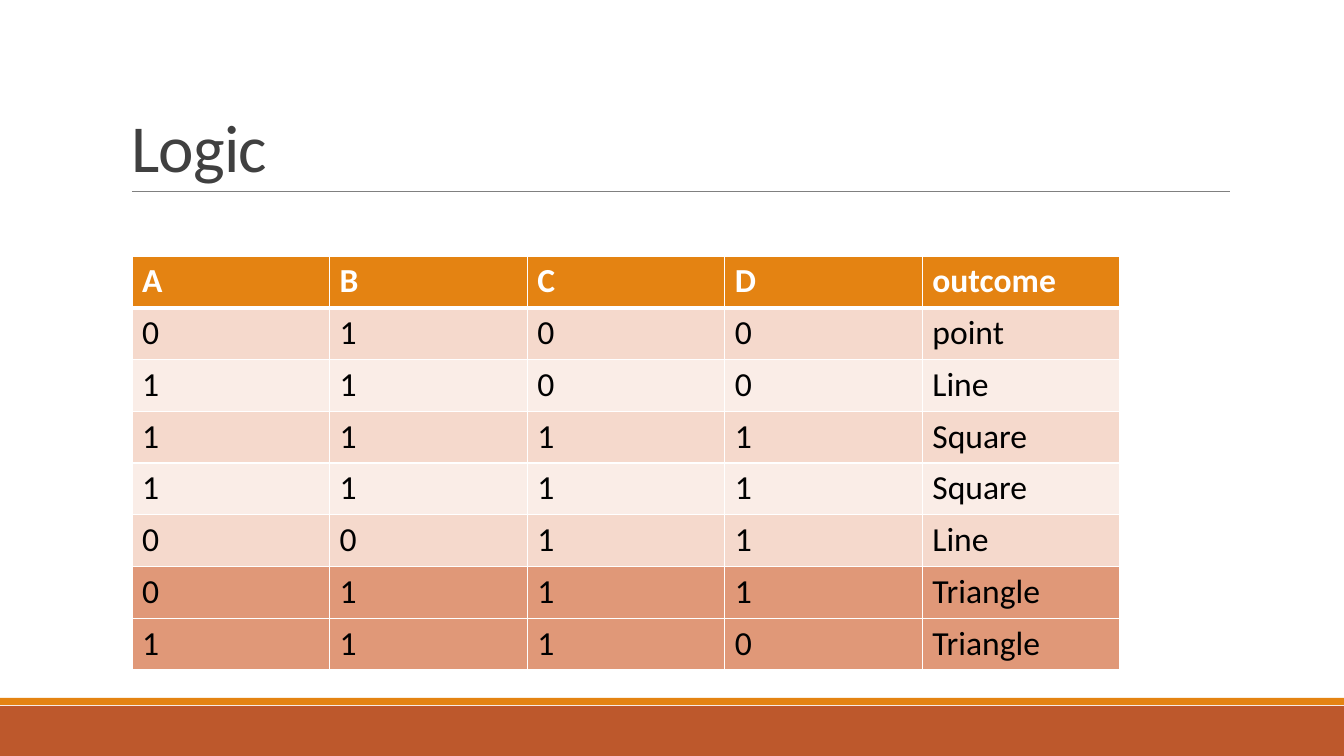
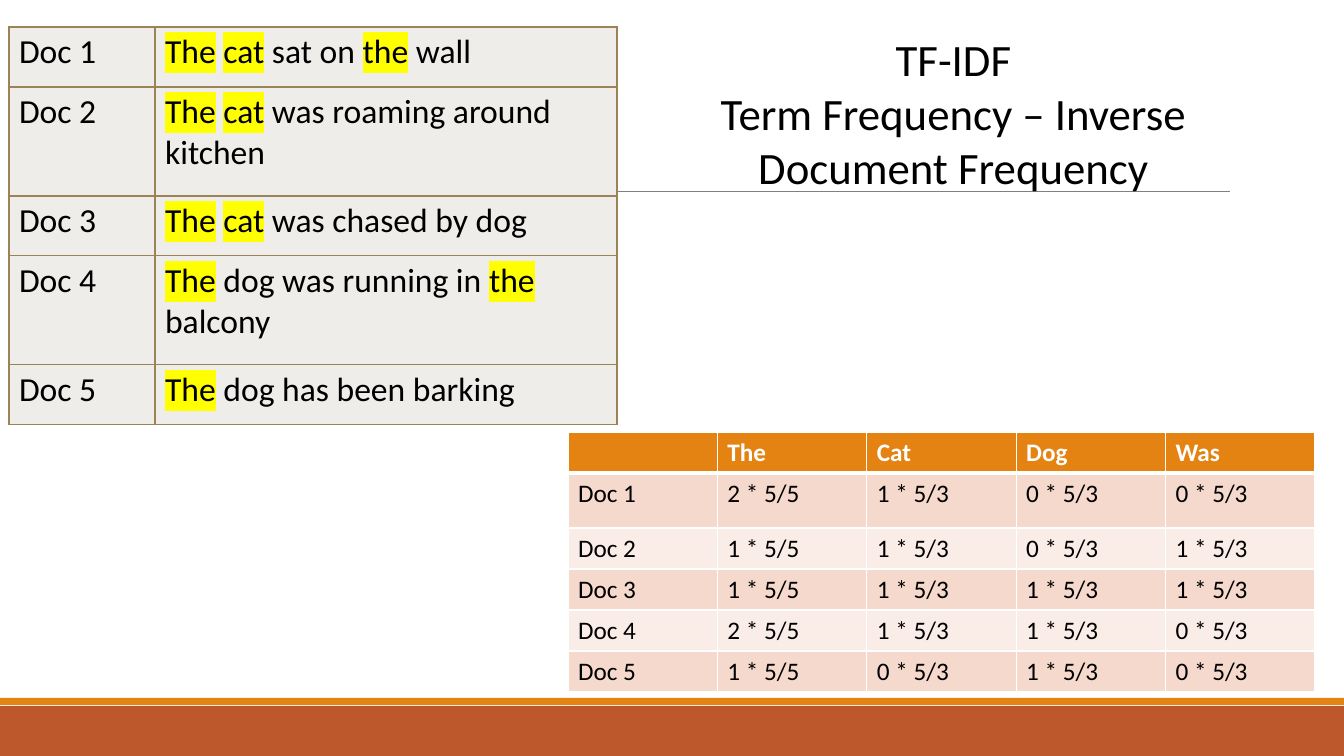
"""Build two slides: a logic truth table and a TF-IDF worked example."""
from dataclasses import dataclass
from itertools import cycle, islice

from lxml import etree
from pptx import Presentation
from pptx import util as u
from pptx.dml.color import RGBColor
from pptx.enum import shapes, text
from pptx.oxml import ns

SCALE = 914400 / 100.8
WIDE, HIGH = 1344, 756


@dataclass(frozen=True)
class Theme:
    font: str = "Calibri"
    rust: str = "BD582C"
    amber: str = "E48312"
    rule: str = "808080"
    title: str = "404040"
    ink: str = "000000"
    white: str = "FFFFFF"
    mark: str = "FFFF00"
    dark: str = "F5D9CC"
    pale: str = "FAEDE7"
    strong: str = "E09878"
    sand: str = "EFEDEA"
    tan: str = "9B8357"
    head: int = 48
    sub: int = 32
    body: int = 24
    small: int = 18


@dataclass(frozen=True)
class Box:
    left: int
    top: int
    width: int
    height: int

    def emu(self) -> list[int]:
        return [px(n) for n in (self.left, self.top, self.width, self.height)]


@dataclass(frozen=True)
class Band:
    box: Box
    fill: str


@dataclass(frozen=True)
class Grid:
    box: Box
    cols: list[float]
    rows: list[float]
    cells: list[list[str]]
    fills: list[str]
    edge: str
    size: int
    header: bool = True


T = Theme()
BANDS = (Band(Box(0, 706, WIDE, 50), T.rust), Band(Box(0, 698, WIDE, 7), T.amber))


def px(n: float) -> int:
    return round(n * SCALE)


def split(total: int, count: int) -> list[float]:
    return [total / count] * count


def stripe(count: int) -> list[str]:
    return list(islice(cycle((T.dark, T.pale)), count))


def child(node, tag: str, **attrs: str):
    return etree.SubElement(node, ns.qn(tag), attrs)


def write(frame, *lines: str, size: int, color: str = T.ink, bold: bool = False,
          align=text.PP_ALIGN.LEFT, space: float = 1.0, track: int = 0) -> None:
    """Fill a text frame, one paragraph a line, marking words in [brackets]."""
    for i, line in enumerate(lines):
        para = frame.paragraphs[0] if i == 0 else frame.add_paragraph()
        para.alignment, para.line_spacing = align, space
        for j, part in enumerate(line.replace("]", "[").split("[")):
            if not part:
                continue
            run = para.add_run()
            run.text = part
            font = run.font
            font.size, font.bold = u.Pt(size), bold
            font.color.rgb = RGBColor.from_string(color)
            props = run._r.get_or_add_rPr()
            if j % 2:
                child(child(props, "a:highlight"), "a:srgbClr", val=T.mark)
            if track:
                props.set("spc", str(track))
            font.name = T.font


def frame(slide) -> None:
    for band in BANDS:
        shape = slide.shapes.add_shape(shapes.MSO_SHAPE.RECTANGLE, *band.box.emu())
        shape.shadow.inherit = False
        shape.fill.solid()
        shape.fill.fore_color.rgb = RGBColor.from_string(band.fill)
        shape.line.fill.background()
    rule = slide.shapes.add_connector(
        shapes.MSO_CONNECTOR.STRAIGHT, px(132), px(191), px(1230), px(191))
    rule.line.width = u.Pt(0.5)
    rule.line.color.rgb = RGBColor.from_string(T.rule)
    child(rule._element.spPr, "a:effectLst")


def title(slide, box: Box, *lines: str, anchor, **fmt) -> None:
    shape = slide.shapes.title
    shape.left, shape.top, shape.width, shape.height = box.emu()
    body = shape.text_frame
    body.word_wrap, body.auto_size = True, text.MSO_AUTO_SIZE.NONE
    body.vertical_anchor = anchor
    write(body, *lines, **fmt)
    tree = slide.shapes.element
    tree.remove(shape.element)
    tree.append(shape.element)


def border(cell, color: str, **widths: float) -> None:
    props = cell._tc.get_or_add_tcPr()
    for side in "LRTB":
        line = child(props, f"a:ln{side}", w=str(u.Pt(widths.get(side, 1))))
        child(child(line, "a:solidFill"), "a:srgbClr", val=color)


def draw(slide, grid: Grid) -> None:
    table = slide.shapes.add_table(
        len(grid.rows), len(grid.cols), *grid.box.emu()).table
    table.first_row, table.horz_banding = grid.header, grid.header
    for col, width in zip(table.columns, grid.cols):
        col.width = px(width)
    for row, height in zip(table.rows, grid.rows):
        row.height = px(height)
    for i, (words, fill) in enumerate(zip(grid.cells, grid.fills)):
        top = grid.header and i == 0
        thick = {0: {"B": 3}, 1: {"T": 3}}.get(i, {}) if grid.header else {}
        for j, word in enumerate(words):
            cell = table.cell(i, j)
            border(cell, grid.edge, **thick)
            cell.fill.solid()
            cell.fill.fore_color.rgb = RGBColor.from_string(fill)
            write(cell.text_frame, word, size=grid.size, bold=top,
                  color=T.white if top else T.ink)


LOGIC = Grid(
    Box(132, 256, 988, 414), split(988, 5), split(414, 8),
    [["A", "B", "C", "D", "outcome"],
     ["0", "1", "0", "0", "point"],
     ["1", "1", "0", "0", "Line"],
     ["1", "1", "1", "1", "Square"],
     ["1", "1", "1", "1", "Square"],
     ["0", "0", "1", "1", "Line"],
     ["0", "1", "1", "1", "Triangle"],
     ["1", "1", "1", "0", "Triangle"]],
    [T.amber, *stripe(5), T.strong, T.strong], T.white, T.body)

DOCS = Grid(
    Box(9, 27, 608, 398), [146, 462], [60, 109, 60, 109, 60],
    [["Doc 1", "[The] [cat] sat on [the] wall"],
     ["Doc 2", "[The] [cat] was roaming around kitchen"],
     ["Doc 3", "[The] [cat] was chased by dog"],
     ["Doc 4", "[The] dog was running in [the] balcony"],
     ["Doc 5", "[The] dog has been barking"]],
    [T.sand] * 5, T.tan, T.body, header=False)

SCORES = Grid(
    Box(568, 432, 747, 260), split(747, 5), [41, 55, 41, 41, 41, 41],
    [["", "The", "Cat", "Dog", "Was"],
     ["Doc 1", "2 * 5/5", "1 * 5/3", "0 * 5/3", "0 * 5/3"],
     ["Doc 2", "1 * 5/5", "1 * 5/3", "0 * 5/3", "1 * 5/3"],
     ["Doc 3", "1 * 5/5", "1 * 5/3", "1 * 5/3", "1 * 5/3"],
     ["Doc 4", "2 * 5/5", "1 * 5/3", "1 * 5/3", "0 * 5/3"],
     ["Doc 5", "1 * 5/5", "0 * 5/3", "1 * 5/3", "0 * 5/3"]],
    [T.amber, *stripe(5)], T.white, T.small)


def start(deck, *grids: Grid):
    slide = deck.slides.add_slide(deck.slide_layouts[5])
    frame(slide)
    for grid in grids:
        draw(slide, grid)
    return slide


def main() -> None:
    deck = Presentation()
    deck.slide_width, deck.slide_height = px(WIDE), px(HIGH)
    title(start(deck, LOGIC), Box(121, 31, 1109, 160), "Logic",
          anchor=text.MSO_ANCHOR.BOTTOM, size=T.head, color=T.title,
          space=0.85, track=-50)
    title(start(deck, DOCS, SCORES), Box(626, 27, 655, 173),
          "TF-IDF", "Term Frequency – Inverse Document Frequency",
          anchor=text.MSO_ANCHOR.TOP, size=T.sub, align=text.PP_ALIGN.CENTER)
    deck.save("out.pptx")


main()
